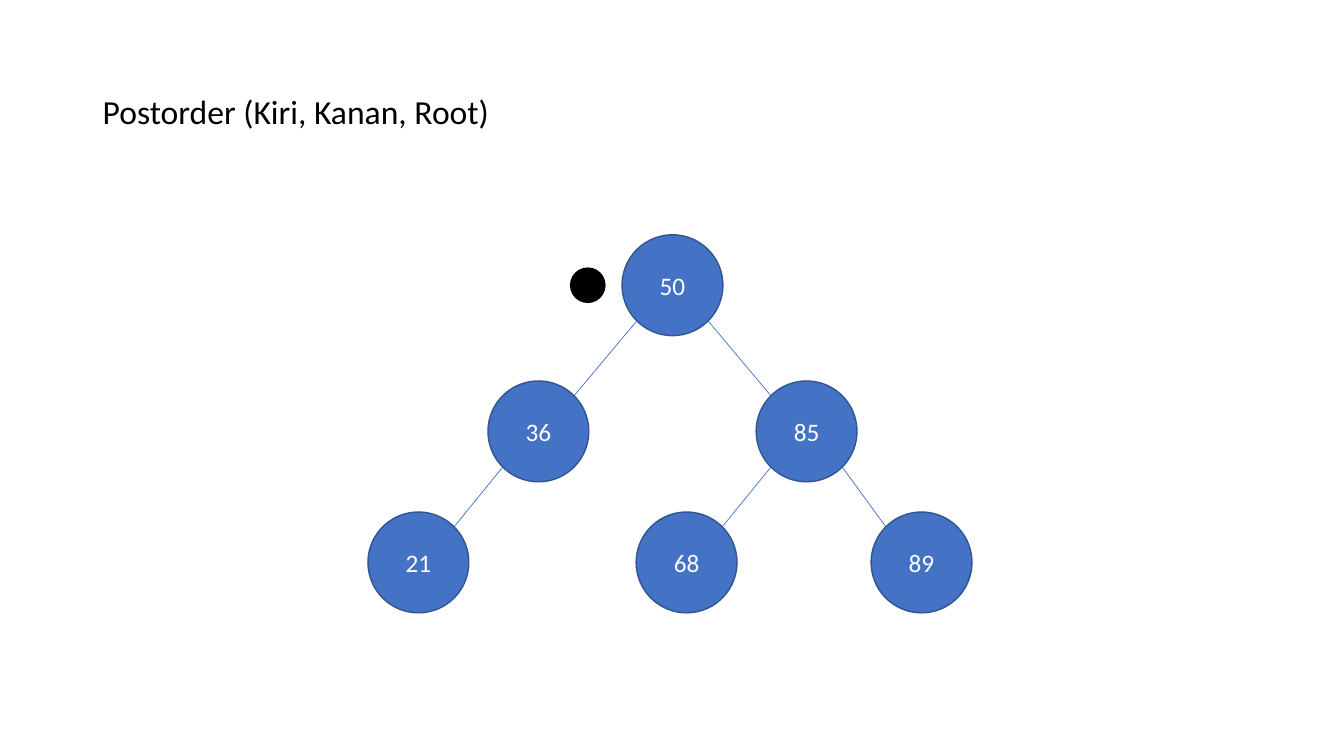
from dataclasses import dataclass
from math import sqrt

from lxml.etree import SubElement
from pptx import Presentation
from pptx.dml.color import RGBColor
from pptx.enum.shapes import MSO_CONNECTOR as Connector, MSO_SHAPE as Preset
from pptx.enum.text import MSO_ANCHOR as Anchor, PP_ALIGN as Align
from pptx.oxml.ns import qn
from pptx.shapes.autoshape import Shape
from pptx.slide import Slide
from pptx.util import Inches, Pt


@dataclass(frozen=True)
class Theme:
    font: str = "Calibri"
    title_size: int = 24
    node_size: int = 18
    outline_width: float = 1
    edge_width: float = 0.5
    node_fill: RGBColor = RGBColor(0x44, 0x72, 0xC4)
    node_outline: RGBColor = RGBColor(0x32, 0x54, 0x91)
    node_text: RGBColor = RGBColor(0xFF, 0xFF, 0xFF)
    ink: RGBColor = RGBColor(0, 0, 0)


@dataclass(frozen=True)
class Node:
    label: str
    left: float
    top: float


THEME = Theme()
DIAMETER = 1.0
DIAGONAL = DIAMETER / 2 / sqrt(2)  # centre to the 45° point on the rim

# Tree levels
ROOT_TOP, CHILD_TOP, LEAF_TOP = 2.33, 3.78, 5.08
ROOT = Node("50", 6.17, ROOT_TOP)
LEFT = Node("36", 4.84, CHILD_TOP)
RIGHT = Node("85", 7.5, CHILD_TOP)
LEFT_LEAF = Node("21", 3.65, LEAF_TOP)
MIDDLE_LEAF = Node("68", 6.31, LEAF_TOP)
RIGHT_LEAF = Node("89", 8.64, LEAF_TOP)
NODES = (ROOT, LEFT, RIGHT, LEFT_LEAF, MIDDLE_LEAF, RIGHT_LEAF)
EDGES = (
    (ROOT, LEFT),
    (ROOT, RIGHT),
    (LEFT, LEFT_LEAF),
    (RIGHT, MIDDLE_LEAF),
    (RIGHT, RIGHT_LEAF),
)


def add_circle(page: Slide, left: float, top: float, diameter: float,
               fill: RGBColor, outline: RGBColor) -> Shape:
    circle = page.shapes.add_shape(
        Preset.OVAL, Inches(left), Inches(top), Inches(diameter), Inches(diameter))
    circle.shadow.inherit = False
    circle.fill.solid()
    circle.fill.fore_color.rgb = fill
    circle.line.color.rgb = outline
    circle.line.width = Pt(THEME.outline_width)
    return circle


def write(box: Shape, text: str, size: int, color: RGBColor, align: Align) -> None:
    frame = box.text_frame
    frame.word_wrap = True
    frame.vertical_anchor = Anchor.MIDDLE
    para = frame.paragraphs[0]
    para.text = text
    para.alignment = align
    para.font.name = THEME.font
    para.font.size = Pt(size)
    para.font.color.rgb = color


def add_node(page: Slide, node: Node) -> None:
    circle = add_circle(page, node.left, node.top, DIAMETER,
                        THEME.node_fill, THEME.node_outline)
    write(circle, node.label, THEME.node_size, THEME.node_text, Align.CENTER)


def add_edge(page: Slide, parent: Node, child: Node) -> None:
    """Join the parent's lower rim to the facing upper rim of the child."""
    radius = DIAMETER / 2
    side = DIAGONAL if child.left > parent.left else -DIAGONAL
    edge = page.shapes.add_connector(
        Connector.STRAIGHT,
        Inches(parent.left + radius + side), Inches(parent.top + radius + DIAGONAL),
        Inches(child.left + radius - side), Inches(child.top + radius - DIAGONAL))
    edge.line.color.rgb = THEME.node_fill
    edge.line.width = Pt(THEME.edge_width)
    SubElement(edge._element.spPr, qn("a:effectLst"))


def add_title(page: Slide, text: str) -> None:
    box = page.shapes.add_textbox(Inches(0.92), Inches(0.4), Inches(11.5), Inches(1.45))
    write(box, text, THEME.title_size, THEME.ink, Align.LEFT)
    box.text_frame.paragraphs[0].line_spacing = 0.9


def main() -> None:
    deck = Presentation()
    deck.slide_width, deck.slide_height = Inches(13.33), Inches(7.5)
    page = deck.slides.add_slide(deck.slide_layouts[6])

    # Tree
    for parent, child in EDGES:
        add_edge(page, parent, child)
    for node in NODES:
        add_node(page, node)

    # Heading and traversal marker
    add_title(page, "Postorder (Kiri, Kanan, Root)")
    add_circle(page, 5.66, 2.66, 0.34, THEME.ink, THEME.ink)

    deck.save("out.pptx")


if __name__ == "__main__":
    main()
